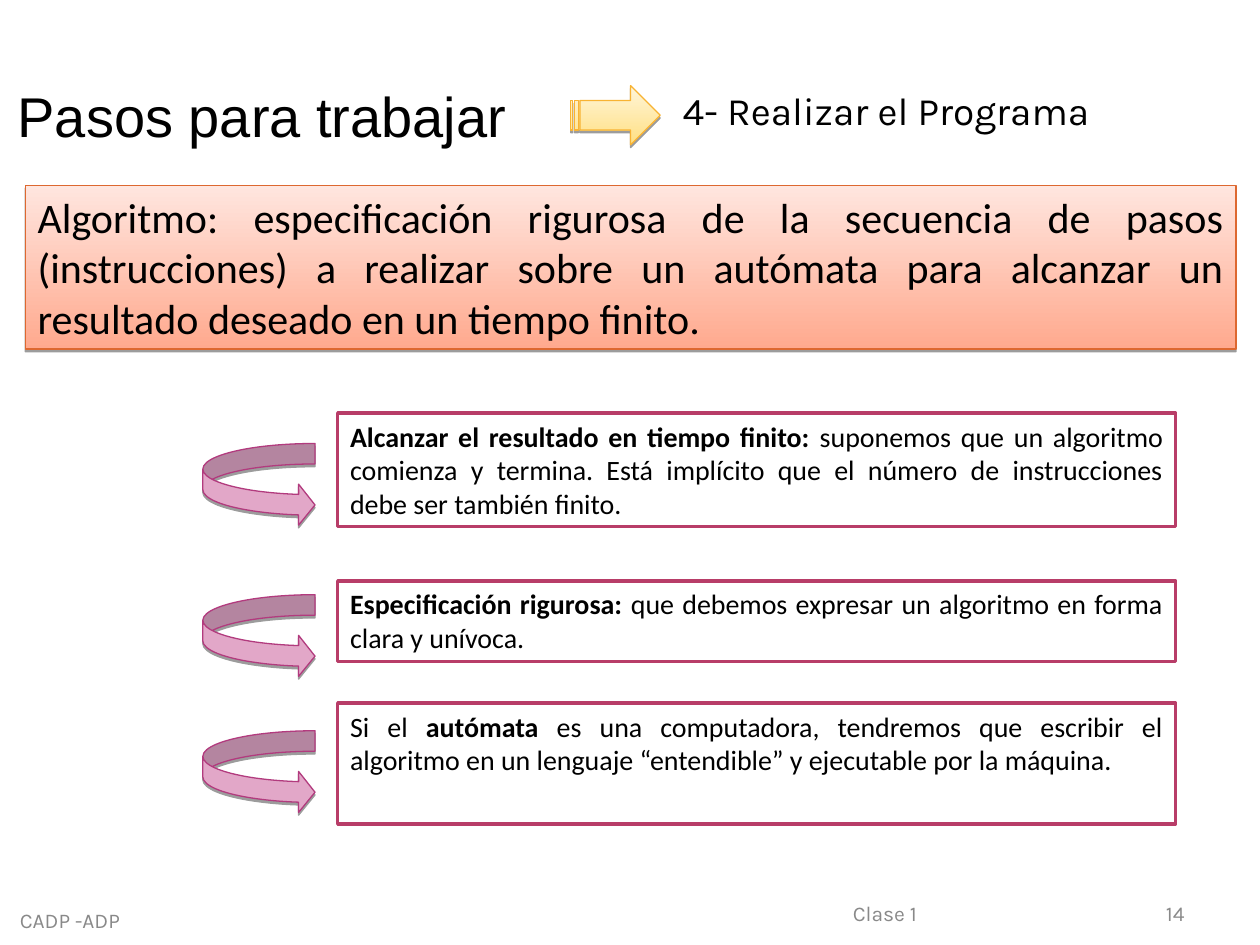
from lxml import etree
from pptx import Presentation, util as u
from pptx.dml.color import RGBColor
from pptx.enum import shapes, text
from pptx.oxml import ns

W, H = 10, 7.5
HUES = dict(ink="000000", gray="898989", white="FFFFFF", rose="B83D68",
            pink="E2A7C8", plum="B23B7E", rust="DD6830", gold="F8B333")
PEACH, CREAM = ("FFA98E", "FFE6DF"), ("FFE082", "FFF5DA")
KIND, SIDE, HOLD = shapes.MSO_SHAPE, text.PP_ALIGN, text.MSO_ANCHOR

TITLE = "Pasos para trabajar"
STEP = "4- Realizar el Programa"
RULE = ("Algoritmo: especificación rigurosa de la secuencia de pasos "
        "(instrucciones) a realizar sobre un autómata para alcanzar un "
        "resultado deseado en un tiempo finito.")
# box top, box height, arrow top, (text, bold) parts
NOTES = [
    (3.28, 0.9, 3.52, [
        ("Alcanzar el resultado en tiempo finito:", True),
        (" suponemos que un algoritmo comienza y termina. Está implícito que "
         "el número de instrucciones debe ser también finito.", False)]),
    (4.61, 0.64, 4.72, [
        ("Especificación rigurosa:", True),
        (" que debemos expresar un algoritmo en forma clara y unívoca.", False)]),
    (5.58, 0.96, 5.8, [
        ("Si el ", False), ("autómata", True),
        (" es una computadora, tendremos que escribir el algoritmo en un "
         "lenguaje “entendible” y ejecutable por la máquina.", False)]),
]
# text, left, top, width, alignment
FOOT = [("CADP -ADP", 0, 7.1, 1.11, SIDE.CENTER),
        ("Clase 1", 6.67, 7.05, 2.92, SIDE.LEFT),
        ("14", 7.17, 7.05, 2.33, SIDE.RIGHT)]
ARROW_X, NOTE_X, NOTE_W = 1.61, 2.68, 6.65


def rgb(code):
    return RGBColor.from_string(HUES.get(code, code))


def inch(*nums):
    return [u.Inches(n) for n in nums]


def write(shape, parts, size, font, hue="ink", side=SIDE.LEFT, hold=HOLD.MIDDLE):
    """Fill a shape with one paragraph made of (text, bold) parts."""
    frame = shape.text_frame
    frame.word_wrap = True
    frame.auto_size = text.MSO_AUTO_SIZE.NONE
    frame.vertical_anchor = hold
    para = frame.paragraphs[0]
    para.alignment = side
    for words, bold in parts:
        run = para.add_run()
        run.text = words
        run.font.size, run.font.name, run.font.bold = u.Pt(size), font, bold
        run.font.color.rgb = rgb(hue)
    return para


def label(slide, words, box, size, **style):
    return write(slide.shapes.add_textbox(*inch(*box)), [(words, False)],
                 size, "Karla", **style)


def draw(slide, kind, box, fill, line, width=0.75):
    """Add a preset shape; a pair of fill colours runs from bottom to top."""
    shape = slide.shapes.add_shape(kind, *inch(*box))
    shape.shadow.inherit = False
    if isinstance(fill, tuple):
        shape.fill.gradient()
        shape.fill.gradient_angle = 90
        for stop, code in zip(shape.fill.gradient_stops, fill):
            stop.color.rgb = rgb(code)
    else:
        shape.fill.solid()
        shape.fill.fore_color.rgb = rgb(fill)
    shape.line.color.rgb = rgb(line)
    shape.line.width = u.Pt(width)
    return shape


def shade(shape):
    """Cast a thin shadow straight down."""
    effect = shape._element.spPr.find(ns.qn("a:effectLst"))
    cast = etree.SubElement(effect, ns.qn("a:outerShdw"), blurRad="0",
                            dist=str(u.Pt(1.6)), dir="5400000", rotWithShape="0")
    tone = etree.SubElement(cast, ns.qn("a:srgbClr"), val=HUES["ink"])
    etree.SubElement(tone, ns.qn("a:alpha"), val="38000")


def main():
    deck = Presentation()
    deck.slide_width, deck.slide_height = inch(W, H)
    slide = deck.slides.add_slide(deck.slide_layouts[5])

    title = slide.shapes.title
    title.left, title.top, title.width, title.height = inch(0.04, 0.38, 4.65, 0.85)
    write(title, [(TITLE, False)], 32, "Arial", hold=HOLD.BOTTOM)

    shade(draw(slide, KIND.STRIPED_RIGHT_ARROW, (4.53, 0.68, 0.71, 0.47),
               CREAM, "gold"))
    label(slide, STEP, (5.32, 0.65, 4.41, 0.5), 22.2).line_spacing = 0.9

    banner = draw(slide, KIND.RECTANGLE, (0.2, 1.47, 9.61, 1.3), PEACH, "rust")
    shade(banner)
    write(banner, [(RULE, False)], 24, "Calibri", side=SIDE.JUSTIFY, hold=HOLD.TOP)

    for top, high, tip, parts in NOTES:
        arrow = draw(slide, KIND.CURVED_RIGHT_ARROW, (ARROW_X, tip, 0.89, 0.65),
                     "pink", "plum")
        arrow.adjustments[2] = 0.2
        shade(arrow)
        note = draw(slide, KIND.RECTANGLE, (NOTE_X, top, NOTE_W, high),
                    "white", "rose", 2)
        write(note, parts, 16, "Calibri", side=SIDE.JUSTIFY, hold=HOLD.TOP)

    for words, left, top, wide, side in FOOT:
        label(slide, words, (left, top, wide, 0.4), 12, hue="gray", side=side)

    deck.save("out.pptx")


if __name__ == "__main__":
    main()
